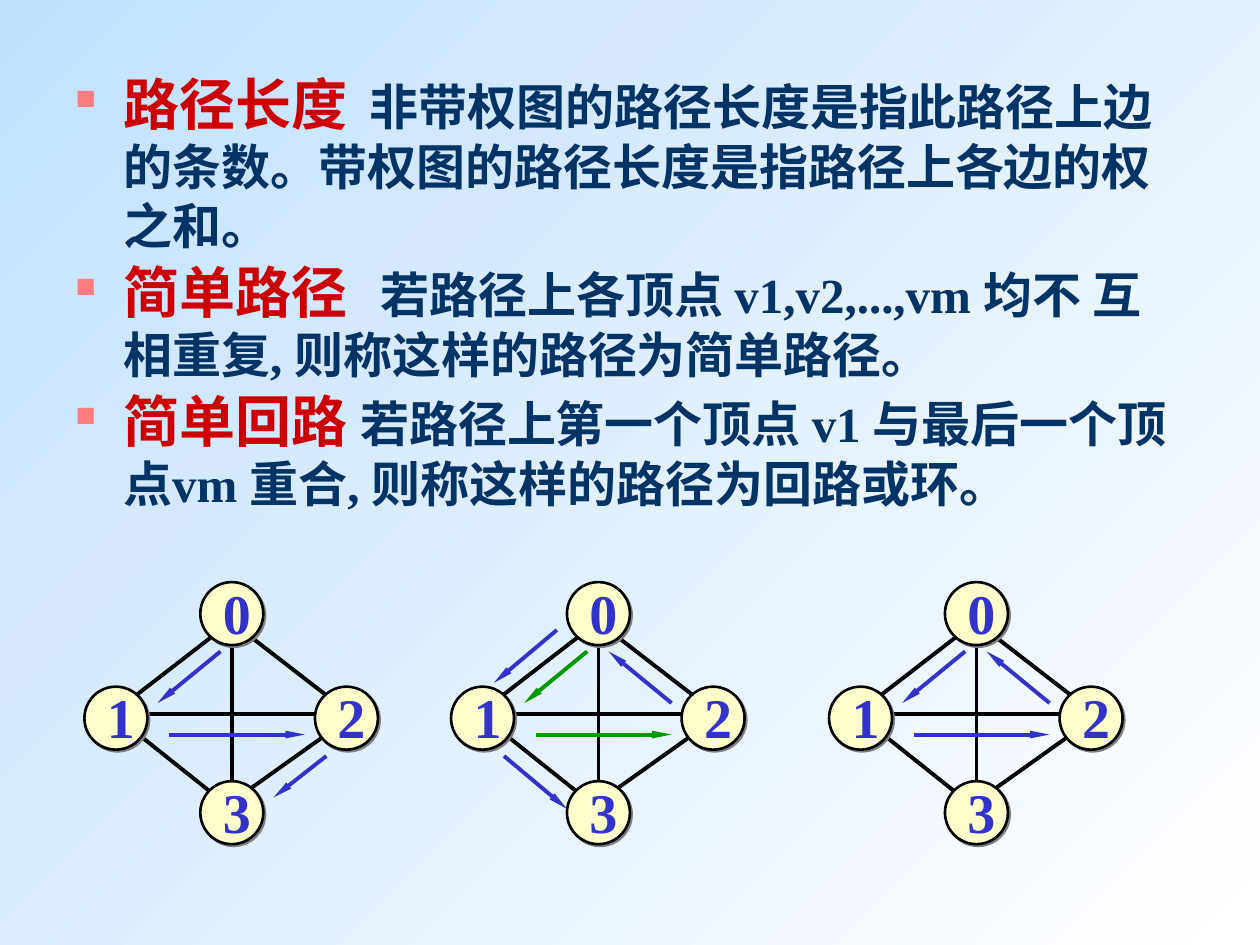
import pptx
import pptx.dml.color
import pptx.enum.shapes
import pptx.enum.text
import pptx.oxml
import pptx.oxml.ns
import pptx.util
from dataclasses import dataclass

Inches = pptx.util.Inches
Pt = pptx.util.Pt


@dataclass(frozen=True)
class Theme:
    font: str = "Times New Roman"
    term_size: int = 32
    body_size: int = 28
    term: str = "CC0000"
    body: str = "003366"
    bullet: str = "FF7C80"
    ink: str = "000000"
    node: str = "FFFFCC"
    shadow: str = "808080"
    blue: str = "3333CC"
    green: str = "009900"
    sky: str = "C1E0FF"
    white: str = "FFFFFF"
    edge_width: float = 2.25
    node_width: float = 1.5


THEME = Theme()

DEFINITIONS = [
    ("路径长度", "  ", "非带权图的路径长度是指此路径上边的条数。带权图的路径长度是指路径上各边的权之和。"),
    ("简单路径", "   ", "若路径上各顶点 v1,v2,...,vm 均不 互相重复, 则称这样的路径为简单路径。"),
    ("简单回路 ", "", "若路径上第一个顶点 v1 与最后一个顶点vm 重合, 则称这样的路径为回路或环。"),
]

# Graph geometry in inches, relative to the graph's top left corner
NODE_SIZE = 0.5
NODES = [(0.92, 0), (0, 0.83), (1.83, 0.83), (0.92, 1.58)]
EDGES = [
    (0.33, 1.13, 1.17, 1.8),
    (1.25, 0.38, 2, 0.96),
    (1.92, 1.21, 1.33, 1.63),
    (1.08, 0.38, 0.33, 0.96),
    (0.42, 1.05, 1.92, 1.05),
    (1.17, 0.41, 1.17, 1.88),
]
STEPS = {
    "0-1": (1.08, 0.55, 0.58, 0.96),
    "0-1 outer": (0.84, 0.38, 0.34, 0.8),
    "1-2": (0.67, 1.21, 1.75, 1.21),
    "1-3": (0.42, 1.38, 0.92, 1.8),
    "2-0": (1.75, 0.96, 1.25, 0.55),
    "2-3": (1.92, 1.38, 1.5, 1.71),
}
GRAPH_TOP = 4.62
GRAPHS = [
    (0.67, [("0-1", THEME.blue), ("1-2", THEME.blue), ("2-3", THEME.blue)]),
    (3.58, [("0-1", THEME.green), ("1-2", THEME.green), ("0-1 outer", THEME.blue),
            ("2-0", THEME.blue), ("1-3", THEME.blue)]),
    (6.58, [("0-1", THEME.blue), ("1-2", THEME.blue), ("2-0", THEME.blue)]),
]


def rgb(value):
    return pptx.dml.color.RGBColor.from_string(value)


def add_xml(parent, xml):
    namespace = pptx.oxml.ns.nsdecls("a")
    parent.append(pptx.oxml.parse_xml(xml.replace("NS", namespace, 1)))


def add_run(paragraph, text, size, color):
    run = paragraph.add_run()
    run.text = text
    run.font.name = THEME.font
    run.font.size = Pt(size)
    run.font.bold = True
    run.font.color.rgb = rgb(color)


def add_line(slide, left, top, ends, color, arrow=False):
    x1, y1, x2, y2 = ends
    line = slide.shapes.add_connector(
        pptx.enum.shapes.MSO_CONNECTOR.STRAIGHT,
        Inches(left + x1), Inches(top + y1), Inches(left + x2), Inches(top + y2))
    line.line.color.rgb = rgb(color)
    line.line.width = Pt(THEME.edge_width)
    if arrow:
        add_xml(line.line._get_or_add_ln(), '<a:tailEnd NS type="triangle" w="sm" len="lg"/>')
    add_xml(line._element.spPr, "<a:effectLst NS/>")


def add_node(slide, left, top):
    node = slide.shapes.add_shape(
        pptx.enum.shapes.MSO_SHAPE.OVAL,
        Inches(left), Inches(top), Inches(NODE_SIZE), Inches(NODE_SIZE))
    node.fill.solid()
    node.fill.fore_color.rgb = rgb(THEME.node)
    node.line.color.rgb = rgb(THEME.ink)
    node.line.width = Pt(THEME.node_width)
    add_xml(node._element.spPr,
            f'<a:effectLst NS><a:outerShdw dist="{Pt(1.4)}" dir="2700000" algn="ctr" '
            f'rotWithShape="0"><a:srgbClr val="{THEME.shadow}"/></a:outerShdw></a:effectLst>')


def add_node_label(slide, left, top, text):
    box = slide.shapes.add_textbox(Inches(left), Inches(top), Inches(0.42), Inches(0.64))
    box.text_frame.word_wrap = False
    box.text_frame.auto_size = pptx.enum.text.MSO_AUTO_SIZE.SHAPE_TO_FIT_TEXT
    add_run(box.text_frame.paragraphs[0], text, THEME.term_size, THEME.blue)


def add_graph(slide, left, top):
    for ends in EDGES:
        add_line(slide, left, top, ends, THEME.ink)
    for x, y in NODES:
        add_node(slide, left + x, top + y)
    for number, (x, y) in enumerate(NODES):
        add_node_label(slide, left + x + 0.08, top + y - 0.08, str(number))


def add_walk(slide, left, top, steps):
    for step, color in steps:
        add_line(slide, left, top, STEPS[step], color, arrow=True)


def add_definitions(slide, left, top, width, height):
    box = slide.shapes.add_textbox(Inches(left), Inches(top), Inches(width), Inches(height))
    frame = box.text_frame
    frame.word_wrap = True
    for index, (term, gap, meaning) in enumerate(DEFINITIONS):
        paragraph = frame.add_paragraph() if index else frame.paragraphs[0]
        paragraph.space_before = Pt(1.8)
        properties = paragraph._p.get_or_add_pPr()
        properties.set("marL", str(Inches(0.38)))
        properties.set("indent", str(-Inches(0.38)))
        add_xml(properties, f'<a:buClr NS><a:srgbClr val="{THEME.bullet}"/></a:buClr>')
        add_xml(properties, '<a:buSzPct NS val="50000"/>')
        add_xml(properties, '<a:buChar NS char="■"/>')
        add_run(paragraph, term, THEME.term_size, THEME.term)
        if gap:
            add_run(paragraph, gap, THEME.body_size, THEME.ink)
        add_run(paragraph, meaning, THEME.body_size, THEME.body)


def paint_background(slide):
    fill = slide.background.fill
    fill.gradient()
    fill.gradient_angle = 135
    for stop, color in zip(fill.gradient_stops, (THEME.white, THEME.sky)):
        stop.color.rgb = rgb(color)


def main():
    presentation = pptx.Presentation()
    presentation.slide_width = Inches(10)
    presentation.slide_height = Inches(7.5)
    slide = presentation.slides.add_slide(presentation.slide_layouts[6])
    paint_background(slide)

    # Definitions above, graphs below, walks on top of the graphs
    add_definitions(slide, 0.5, 0.5, 8.92, 3.92)
    for left, _ in GRAPHS:
        add_graph(slide, left, GRAPH_TOP)
    for left, steps in GRAPHS:
        add_walk(slide, left, GRAPH_TOP, steps)

    presentation.save("out.pptx")


if __name__ == "__main__":
    main()
